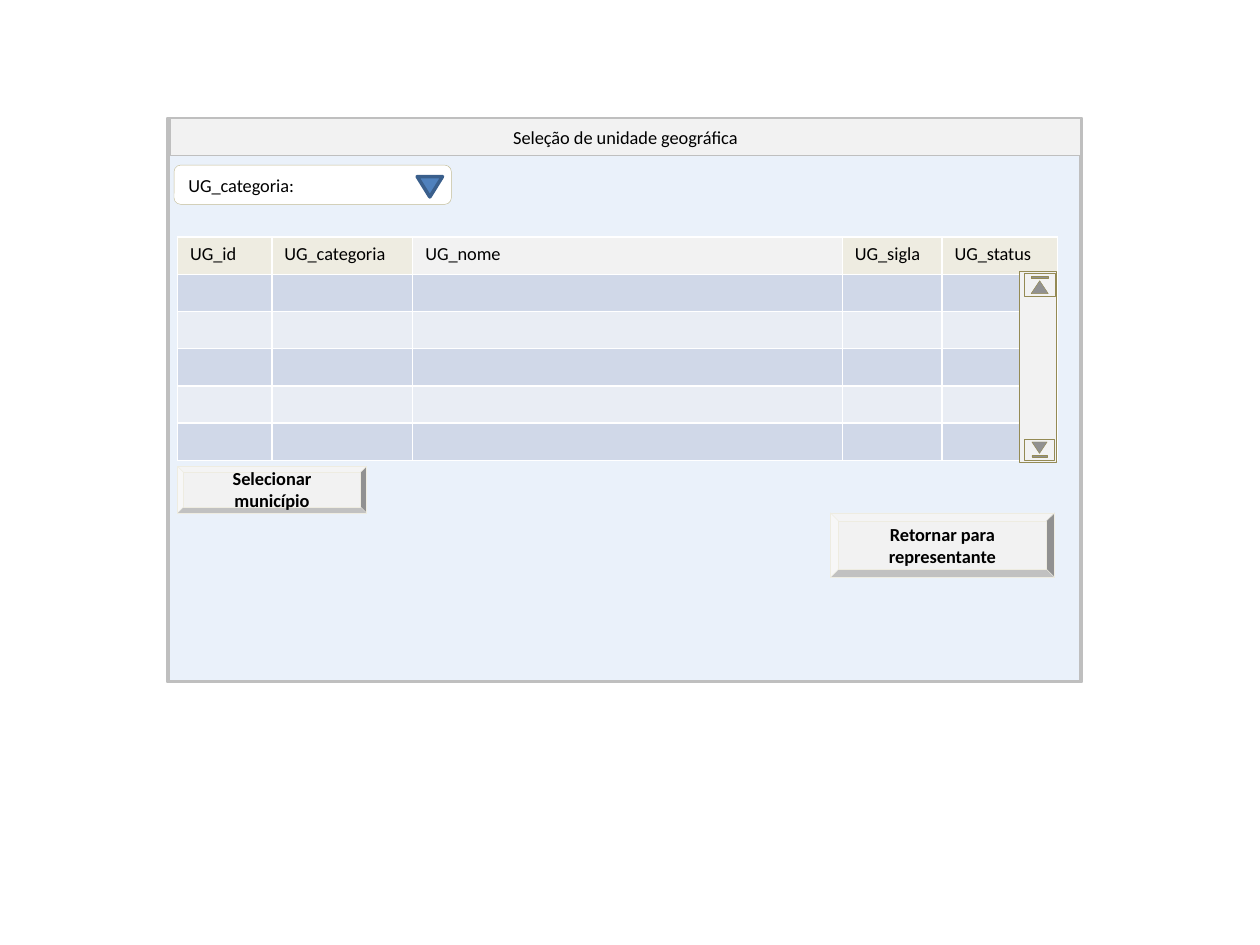
from pptx import Presentation
from pptx.dml.color import RGBColor
from pptx.enum import shapes, text
from pptx.oxml.ns import qn
from pptx.util import Cm, Pt
from lxml import etree

KIND = shapes.MSO_SHAPE
GREY, SAND, BLACK = "F2F2F2", "EEECE1", "000000"
FONT = {"name": "Calibri", "size": Pt(10.5)}


def write(frame, words, bold=False, align=text.PP_ALIGN.CENTER):
    frame.text = words
    for para in frame.paragraphs:
        para.alignment = align
        for span in para.runs:
            for key, value in {**FONT, "bold": bold}.items():
                setattr(span.font, key, value)
            span.font.color.rgb = RGBColor.from_string(BLACK)


def add_box(kind, place, fill, line, width, rotation=0):
    box = page.shapes.add_shape(kind, *[Cm(n) for n in place])
    box.shadow.inherit = False
    box.fill.solid()
    box.fill.fore_color.rgb = RGBColor.from_string(fill)
    box.line.color.rgb = RGBColor.from_string(line)
    box.line.width = Pt(width)
    box.rotation = rotation
    return box


deck = Presentation()
deck.slide_width, deck.slide_height = Cm(25.4), Cm(19.05)
page = deck.slides.add_slide(deck.slide_layouts[6])

# Window and its title bar
add_box(KIND.RECTANGLE, (3.38, 2.39, 18.42, 11.35), "EAF1FA", "BFBFBF", 2.25)
title_bar = add_box(KIND.RECTANGLE, (3.43, 2.39, 18.36, 0.74), GREY, "BFBFBF", 0.75)
write(title_bar.text_frame, "Seleção de unidade geográfica")

# Table of geographic units
headers = ["UG_id", "UG_categoria", "UG_nome", "UG_sigla", "UG_status"]
widths = [1.9, 2.84, 8.66, 2.01, 2.33]
row_count, row_height = 6, 0.75
table = page.shapes.add_table(
    row_count, len(headers), Cm(3.58), Cm(4.78),
    Cm(sum(widths)), Cm(row_count * row_height)).table
for column, width in zip(table.columns, widths):
    column.width = Cm(width)
for index, row in enumerate(table.rows):
    row.height = Cm(row_height)
    for header, cell in zip(headers, row.cells):
        if index == 0:
            color = GREY if header == "UG_nome" else SAND
            write(cell.text_frame, header, align=text.PP_ALIGN.LEFT)
        else:
            color = "D0D8E8" if index % 2 else "E9EDF4"
            # Small end mark, so that empty rows keep their height
            para = cell.text_frame.paragraphs[0]
            etree.SubElement(para._p, qn("a:endParaRPr"), sz="1050")
        cell.fill.solid()
        cell.fill.fore_color.rgb = RGBColor.from_string(color)

# Buttons
for words, place in [
    ("Retornar para representante", (16.74, 10.34, 4.52, 1.3)),
    ("Selecionar\nmunicípio", (3.58, 9.4, 3.81, 0.94)),
]:
    button = add_box(KIND.BEVEL, place, GREY, SAND, 0.25)
    write(button.text_frame, words, bold=True)

# Category drop-down list
field = add_box(KIND.ROUNDED_RECTANGLE, (3.51, 3.33, 5.59, 0.79), "FFFFFF", "C4BD97", 0.25)
write(field.text_frame, "UG_categoria:", align=text.PP_ALIGN.LEFT)
arrow = add_box(KIND.FLOWCHART_EXTRACT, (8.41, 3.56, 0.51, 0.41), "4F81BD", "3A5F8C", 2, 180)
page.shapes.add_group_shape([field, arrow])

# Scroll bar
scroll_parts = [
    add_box(kind, place, GREY, "948A54", 0.25, rotation)
    for kind, place, rotation in [
        (KIND.RECTANGLE, (20.55, 5.46, 0.74, 3.86), 0),
        (KIND.ACTION_BUTTON_END, (20.73, 5.44, 0.46, 0.61), 270),
        (KIND.ACTION_BUTTON_END, (20.75, 8.76, 0.41, 0.61), 90),
    ]
]
page.shapes.add_group_shape(scroll_parts)

deck.save("out.pptx")
